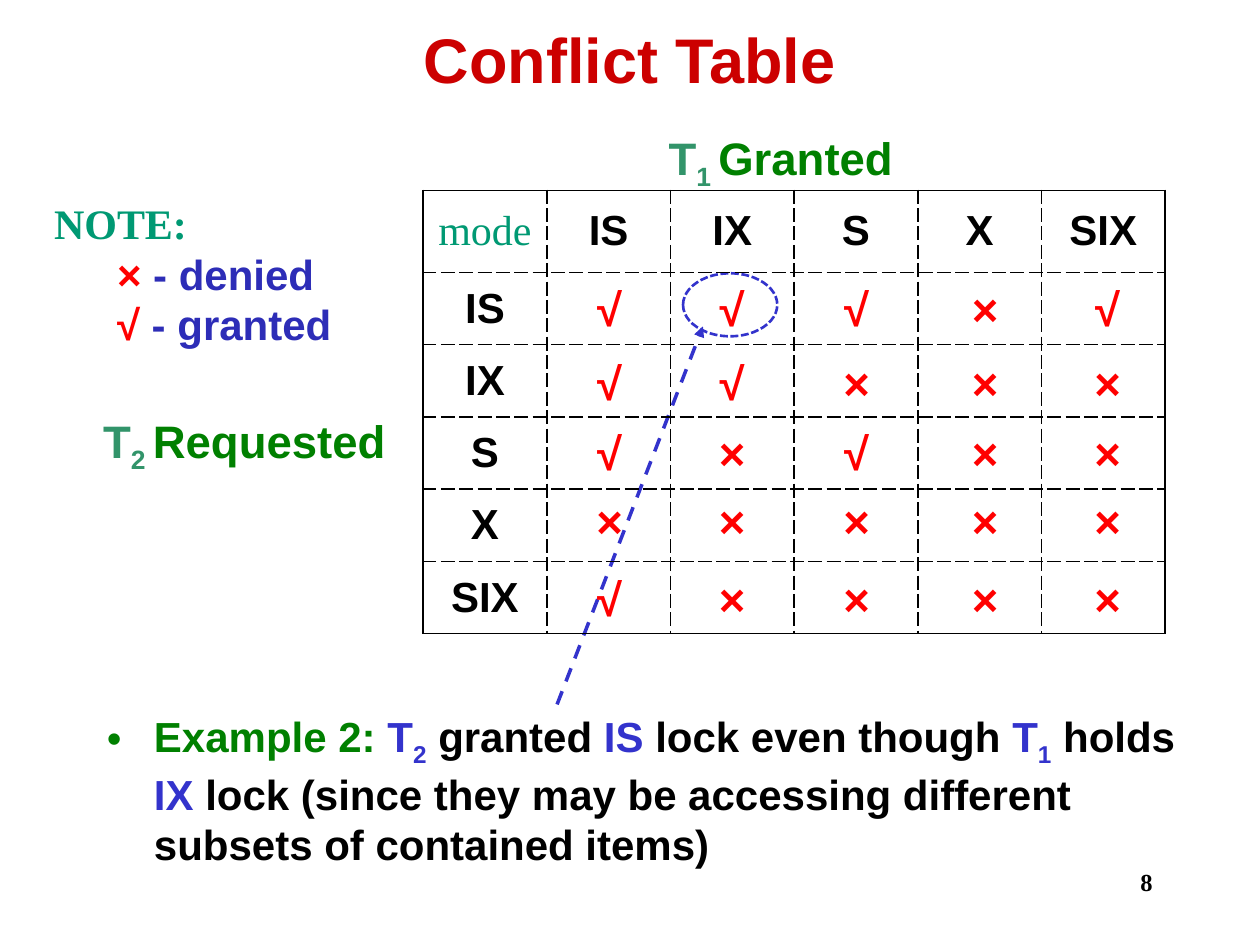
from dataclasses import dataclass
from typing import NamedTuple

from lxml.etree import SubElement
from pptx import Presentation
from pptx.dml.color import RGBColor
from pptx.enum.dml import MSO_LINE
from pptx.enum.shapes import MSO_CONNECTOR, MSO_SHAPE
from pptx.enum.text import MSO_ANCHOR, MSO_AUTO_SIZE, PP_ALIGN
from pptx.oxml.ns import qn
from pptx.util import Cm, Pt


@dataclass(frozen=True)
class Theme:
    sans: str = "Arial"
    serif: str = "Times New Roman"
    black: str = "000000"
    title: str = "CC0000"
    green: str = "008000"
    leaf: str = "32946A"
    teal: str = "009973"
    blue: str = "3333CC"
    navy: str = "2D2DB7"
    red: str = "FF0000"
    head: int = 36
    label: int = 26
    text: int = 24
    small: int = 14


T = Theme()


class Span(NamedTuple):
    text: str
    color: str = T.black
    size: int = T.text
    font: str = T.sans
    bold: bool = True
    sub: bool = False


class Box(NamedTuple):
    left: float
    top: float
    width: float
    height: float

    def place(self) -> list:
        return [Cm(v) for v in self]


def write(para, spans: list[Span], align=PP_ALIGN.LEFT) -> None:
    para.text = spans[0].text
    for span in spans[1:]:
        para.add_run().text = span.text
    para.alignment = align
    for run, span in zip(para.runs, spans):
        run.font.name = span.font
        run.font.size = Pt(span.size)
        run.font.bold = span.bold
        run.font.color.rgb = RGBColor.from_string(span.color)
        if span.sub:
            run.font._element.set("baseline", "-25000")


def move(shape, box: Box) -> None:
    shape.left, shape.top, shape.width, shape.height = box.place()


def add_text(slide, box: Box, lines: list[list[Span]], align=PP_ALIGN.LEFT,
             inset: float = 0.25, grow: bool = True):
    frame = slide.shapes.add_textbox(*box.place()).text_frame
    frame.word_wrap = True
    frame.auto_size = MSO_AUTO_SIZE.SHAPE_TO_FIT_TEXT if grow else MSO_AUTO_SIZE.NONE
    frame.margin_left = frame.margin_right = Cm(inset)
    frame.margin_top = frame.margin_bottom = Cm(inset / 2)
    for i, spans in enumerate(lines):
        para = frame.add_paragraph() if i else frame.paragraphs[0]
        write(para, spans, align)
    return frame


def add_label(slide, box: Box, digit: str, word: str) -> None:
    add_text(slide, box, [[
        Span("T", T.leaf, T.label),
        Span(f"{digit} ", T.leaf, T.label, sub=True),
        Span(word, T.green, T.label),
    ]])


def add_side(cell, side: str, dash: str) -> None:
    line = SubElement(cell._tc.get_or_add_tcPr(), qn(f"a:ln{side}"), w=str(Pt(1)))
    fill = SubElement(line, qn("a:solidFill"))
    SubElement(fill, qn("a:srgbClr"), val=T.black)
    SubElement(line, qn("a:prstDash"), val=dash)


def add_grid(slide, box: Box, modes: list[str], first: float) -> None:
    count = len(modes) + 1
    table = slide.shapes.add_table(count, count, *box.place()).table
    table.first_row = table.horz_banding = False
    for i in range(count):
        table.columns[i].width = Cm(box.width / count)
        table.rows[i].height = Cm((box.height - first) / len(modes) if i else first)
    for r in range(count):
        for c in range(count):
            cell = table.cell(r, c)
            cell.vertical_anchor = MSO_ANCHOR.MIDDLE
            edges = {"L": c == 0, "R": c == count - 1, "T": r == 0, "B": r == count - 1}
            for side, outer in edges.items():
                add_side(cell, side, "solid" if outer else "dash")
            cell.fill.background()
            if r == c == 0:
                span = Span("mode", T.teal, font=T.serif, bold=False)
            elif r == 0 or c == 0:
                span = Span(modes[max(r, c) - 1])
            else:
                continue
            write(cell.text_frame.paragraphs[0], [span], PP_ALIGN.CENTER)


def add_marks(slide, rows: list[str], lefts: list[float], tops: list[float]) -> None:
    for top, row in zip(tops, rows):
        for left, mark in zip(lefts, row):
            add_text(slide, Box(left, top, 1.42, 1.12),
                     [[Span(mark, T.red, T.label)]], PP_ALIGN.CENTER, 0)


def style_line(line, width: float, dash) -> None:
    line.color.rgb = RGBColor.from_string(T.blue)
    line.width = Pt(width)
    line.dash_style = dash


def add_arrow(slide, x1: float, y1: float, x2: float, y2: float) -> None:
    arrow = slide.shapes.add_connector(
        MSO_CONNECTOR.STRAIGHT, Cm(x1), Cm(y1), Cm(x2), Cm(y2))
    style_line(arrow.line, 2, MSO_LINE.DASH)
    SubElement(arrow.line._get_or_add_ln(), qn("a:tailEnd"), type="triangle")
    SubElement(arrow._element.spPr, qn("a:effectLst"))


def add_ring(slide, box: Box) -> None:
    ring = slide.shapes.add_shape(MSO_SHAPE.OVAL, *box.place())
    ring.shadow.inherit = False
    ring.fill.background()
    style_line(ring.line, 1.5, MSO_LINE.SQUARE_DOT)


def fill_body(body) -> None:
    move(body, Box(1.9, 14.2, 22.86, 3.81))
    body.text_frame.auto_size = MSO_AUTO_SIZE.NONE
    para = body.text_frame.paragraphs[0]
    write(para, [
        Span("Example 2: ", T.green),
        Span("T", T.blue), Span("2", T.blue, sub=True),
        Span(" granted "), Span("IS ", T.blue),
        Span("lock even though "),
        Span("T", T.blue), Span("1", T.blue, sub=True),
        Span(" holds "), Span("IX ", T.blue),
        Span("lock (since they may be accessing different subsets of contained items)"),
    ])
    props = para._p.get_or_add_pPr()
    props.set("marL", str(Cm(0.95)))
    props.set("indent", str(Cm(-0.95)))
    space = SubElement(props, qn("a:spcBef"))
    SubElement(space, qn("a:spcPct"), val="40000")
    SubElement(props, qn("a:buChar"), char="•")


def main() -> None:
    deck = Presentation()
    deck.slide_width, deck.slide_height = Cm(25.4), Cm(19.05)
    slide = deck.slides.add_slide(deck.slide_layouts[1])

    title = slide.shapes.title
    move(title, Box(1.9, 0, 21.59, 2.34))
    title.text_frame.vertical_anchor = MSO_ANCHOR.MIDDLE
    write(title.text_frame.paragraphs[0],
          [Span("Conflict Table", T.title, T.head)], PP_ALIGN.CENTER)
    fill_body(slide.placeholders[1])

    add_text(slide, Box(18.21, 17.35, 5.28, 1.27),
             [[Span("8", size=T.small, font=T.serif)]], PP_ALIGN.RIGHT, grow=False)
    add_arrow(slide, 11.23, 14.2, 14.17, 6.58)
    add_ring(slide, Box(13.77, 5.51, 1.9, 1.27))
    add_label(slide, Box(1.83, 8.2, 6.4, 1.37), "2", "Requested")
    add_label(slide, Box(13.23, 2.49, 6.96, 1.37), "1", "Granted")

    add_grid(slide, Box(8.53, 3.84, 14.96, 8.94), ["IS", "IX", "S", "X", "SIX"], 1.65)
    add_marks(slide, ["√√√×√", "√√×××", "√×√××", "×××××", "√××××"],
              [11.58, 14.05, 16.56, 19.15, 21.62], [5.66, 7.16, 8.56, 9.93, 11.51])

    note = add_text(slide, Box(0.84, 3.86, 7.09, 3.33), [
        [Span("NOTE:", T.teal, font=T.serif)],
        [Span("× ", T.red), Span("- denied", T.navy)],
        [Span("√ ", T.red), Span("- granted", T.navy)],
    ])
    for para in note.paragraphs[1:]:
        para.level = 1
        para._p.get_or_add_pPr().set("marL", str(Cm(1.27)))

    deck.save("out.pptx")


if __name__ == "__main__":
    main()
